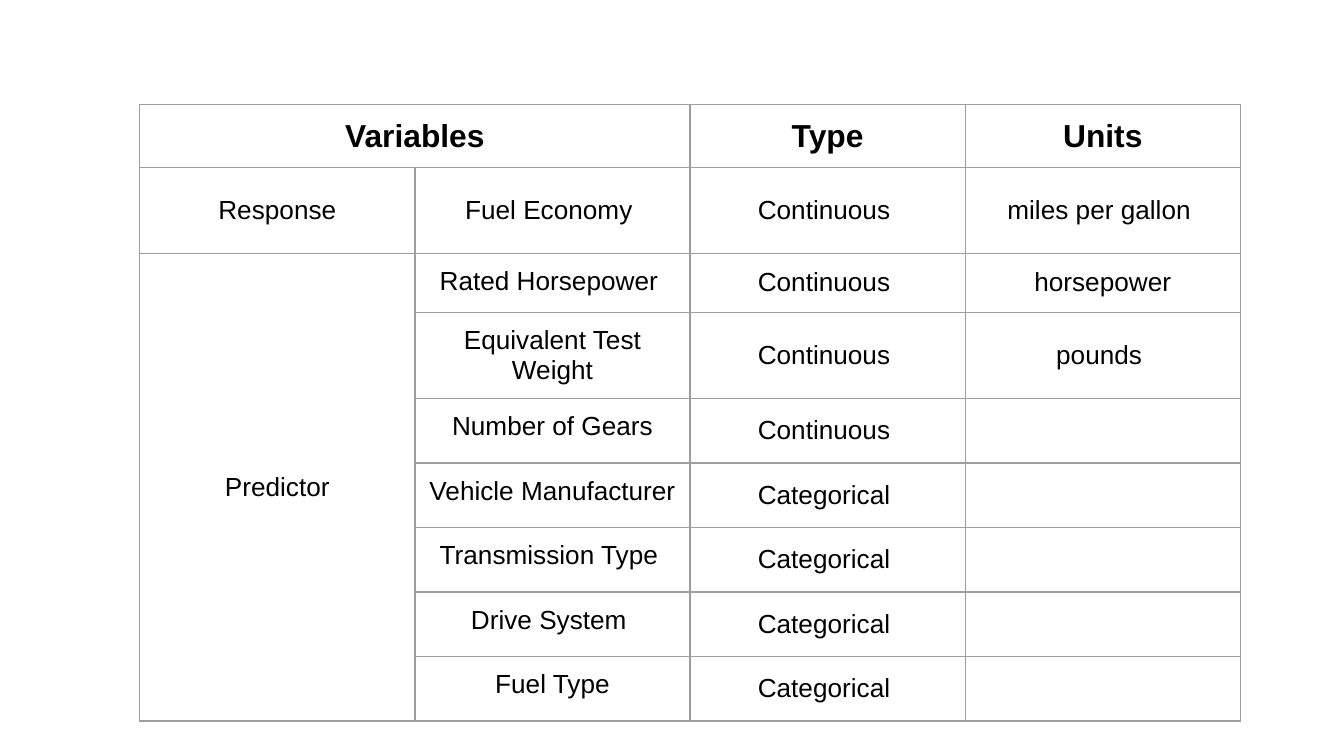
from dataclasses import dataclass

from lxml.etree import SubElement
from pptx import Presentation
from pptx.dml.color import RGBColor as RGB
from pptx.enum.text import MSO_ANCHOR as Anchor, PP_ALIGN as Align
from pptx.oxml.ns import qn
from pptx.util import Inches, Pt


@dataclass(frozen=True)
class Theme:
    font: str = "Arial"
    ink: str = "000000"
    rule: str = "9E9E9E"
    line: float = 0.75
    head: int = 17
    body: int = 14
    pad: float = 0.1


def write(cell, text, size, theme, bold=False, anchor=Anchor.MIDDLE):
    cell.vertical_anchor = anchor
    pad = Inches(theme.pad)
    cell.margin_left = cell.margin_right = pad
    cell.margin_top = cell.margin_bottom = pad
    para = cell.text_frame.paragraphs[0]
    para.alignment = Align.CENTER
    run = para.add_run()
    run.text = text
    font = run.font
    font.name, font.size, font.bold = theme.font, Pt(size), bold
    font.color.rgb = RGB.from_string(theme.ink)


class Page:
    def __init__(self, slide, theme):
        self.slide, self.theme = slide, theme

    def frame(self, cell):
        """Clear the cell's fill and rule all four sides."""
        props = cell._tc.get_or_add_tcPr()
        for side in ("lnL", "lnR", "lnT", "lnB"):
            line = SubElement(props, qn(f"a:{side}"), w=str(Pt(self.theme.line)))
            fill = SubElement(line, qn("a:solidFill"))
            SubElement(fill, qn("a:srgbClr"), val=self.theme.rule)
        cell.fill.background()

    def table(self, rows, left, top, width, heights, spans):
        """Lay out rows; spans holds (first cell, last cell) pairs to merge."""
        count = len(rows[0])
        grid = self.slide.shapes.add_table(
            len(rows), count, Inches(left), Inches(top),
            Inches(width), Inches(sum(heights))).table
        grid.first_row = grid.horz_banding = False
        for col in grid.columns:
            col.width = Inches(width / count)
        for row, height in zip(grid.rows, heights):
            row.height = Inches(height)
        for first, last in spans:
            grid.cell(*first).merge(grid.cell(*last))
        for r, row in enumerate(rows):
            for c, text in enumerate(row):
                cell = grid.cell(r, c)
                self.frame(cell)
                if text:
                    head = r == 0
                    high = r > 1 and c == 1
                    write(cell, text, self.theme.head if head else self.theme.body,
                          self.theme, bold=head,
                          anchor=Anchor.TOP if high else Anchor.MIDDLE)


ROWS = [
    ("Variables", "", "Type", "Units"),
    ("Response", "Fuel Economy ", "Continuous ", "miles per gallon "),
    ("Predictor", "Rated Horsepower ", "Continuous ", "horsepower"),
    ("", "Equivalent Test Weight", "Continuous ", "pounds "),
    ("", "Number of Gears", "Continuous ", ""),
    ("", "Vehicle Manufacturer", "Categorical ", ""),
    ("", "Transmission Type ", "Categorical ", ""),
    ("", "Drive System ", "Categorical ", ""),
    ("", "Fuel Type", "Categorical ", ""),
]


def main():
    deck = Presentation()
    deck.slide_width = Inches(10)
    deck.slide_height = deck.slide_width * 9 // 16
    page = Page(deck.slides.add_slide(deck.slide_layouts[6]), Theme())
    page.table(ROWS, left=1.04, top=0.78, width=8.19,
               heights=[0.46, 0.64, 0.44, 0.64] + [0.48] * 5,
               spans=[((0, 0), (0, 1)), ((2, 0), (8, 0))])
    deck.save("out.pptx")


if __name__ == "__main__":
    main()
